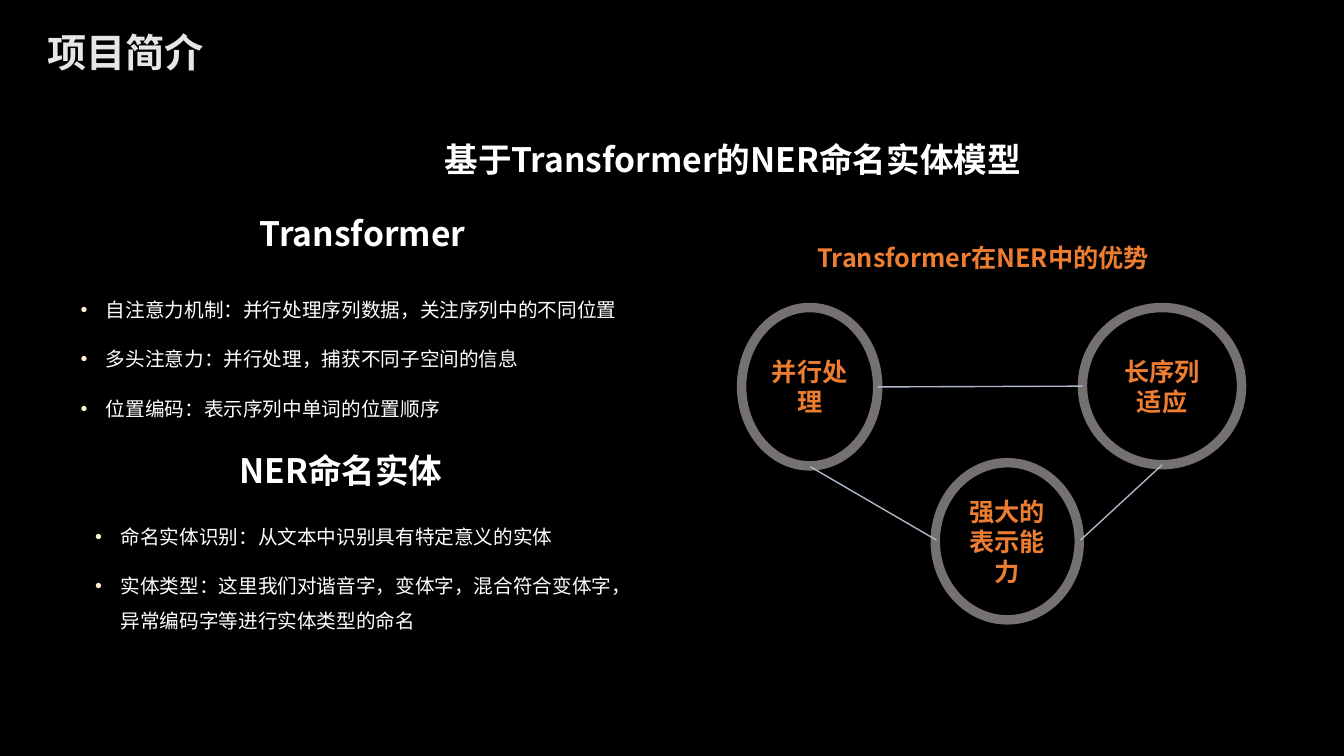
"""Build the project introduction slide on a Transformer-based NER model."""
from dataclasses import dataclass

import pptx
import pptx.dml.color
import pptx.enum.shapes
import pptx.enum.text
import pptx.oxml
import pptx.oxml.ns
import pptx.util
from lxml import etree

Cm, Pt = pptx.util.Cm, pptx.util.Pt
Align = pptx.enum.text.PP_ALIGN
Middle = pptx.enum.text.MSO_ANCHOR.MIDDLE
Shape = pptx.enum.shapes.MSO_SHAPE
qn = pptx.oxml.ns.qn


@dataclass
class Theme:
    face: str = "Noto Sans CJK SC"
    black: str = "000000"
    white: str = "FFFFFF"
    pale: str = "E7E6E6"
    cream: str = "FFF2CC"
    warm: str = "ED7D31"
    ring: str = "767171"
    link: str = "ADB9CA"
    title: int = 28
    head: int = 24
    label: int = 18
    body: int = 14


theme = Theme()


def rgb(code):
    return pptx.dml.color.RGBColor.from_string(code)


def write(para, text, size, color, bold=True, align=Align.LEFT):
    para.text = text
    para.alignment = align
    font = para.font
    font.size = Pt(size)
    font.bold = bold
    font.color.rgb = rgb(color)
    font.name = theme.face
    props = para._p.pPr.find(qn("a:defRPr"))
    etree.SubElement(props, qn("a:ea"), typeface=theme.face)


deck = pptx.Presentation()
deck.slide_width, deck.slide_height = Cm(33.87), Cm(19.05)
slide = deck.slides.add_slide(deck.slide_layouts[6])
shapes = slide.shapes
slide.background.fill.solid()
slide.background.fill.fore_color.rgb = rgb(theme.black)

heads = [
    ("项目简介", 0.94, 0.58, 9.35, 1.45, theme.title, theme.pale, Align.LEFT, 1),
    ("基于Transformer的NER命名实体模型", 10.26, 3.38, 16.41, 1.27,
     theme.head, theme.white, Align.CENTER, 1),
    ("Transformer", 5.05, 5.23, 8.18, 1.27,
     theme.head, theme.white, Align.CENTER, 1),
    ("NER命名实体", 4.5, 11.2, 8.18, 1.6,
     theme.head, theme.white, Align.CENTER, 1),
    ("Transformer在NER中的优势", 20.35, 5.61, 9.93, 1.4,
     theme.label, theme.warm, Align.LEFT, 1.5),
]
for text, left, top, width, height, size, color, align, space in heads:
    box = shapes.add_textbox(Cm(left), Cm(top), Cm(width), Cm(height))
    frame = box.text_frame
    frame.word_wrap = True
    if size == theme.title:
        frame.vertical_anchor = Middle
    para = frame.paragraphs[0]
    para.line_spacing = space
    write(para, text, size, color, align=align)

lists = [
    (1.78, 7.09, ["自注意力机制：并行处理序列数据，关注序列中的不同位置",
                  "多头注意力：并行处理，捕获不同子空间的信息",
                  "位置编码：表示序列中单词的位置顺序"]),
    (2.15, 12.8, ["命名实体识别：从文本中识别具有特定意义的实体",
                  "实体类型：这里我们对谐音字，变体字，混合符合变体字，"
                  "异常编码字等进行实体类型的命名"]),
]
for left, top, items in lists:
    box = shapes.add_textbox(Cm(left), Cm(top), Cm(14.33), Cm(4.55))
    frame = box.text_frame
    frame.word_wrap = True
    for rank, item in enumerate(items):
        para = frame.add_paragraph() if rank else frame.paragraphs[0]
        para.line_spacing = 1.5
        para.space_before = Pt(10 if rank else 0)
        props = para._p.get_or_add_pPr()
        props.set("marL", str(Cm(0.64)))
        props.set("indent", str(-Cm(0.64)))
        tint = etree.SubElement(props, qn("a:buClr"))
        etree.SubElement(tint, qn("a:srgbClr"), val=theme.cream)
        etree.SubElement(props, qn("a:buFont"), typeface="Arial")
        etree.SubElement(props, qn("a:buChar"), char="•")
        write(para, item, theme.body, theme.white, bold=False)

rings = [
    ("并行处理", 18.69, 7.75, 3.43, 3.99),
    ("长序列适应", 27.28, 7.75, 4.01, 3.96),
    ("强大的表示能力", 23.57, 11.66, 3.63, 3.96),
]
for text, left, top, width, height in rings:
    ring = shapes.add_shape(
        Shape.OVAL, Cm(left), Cm(top), Cm(width), Cm(height))
    ring.shadow.inherit = False
    ring.fill.solid()
    ring.fill.fore_color.rgb = rgb(theme.black)
    ring.line.color.rgb = rgb(theme.ring)
    ring.line.width = Pt(6.75)
    frame = ring.text_frame
    frame.word_wrap = True
    frame.vertical_anchor = Middle
    write(frame.paragraphs[0], text, theme.label, theme.warm,
          align=Align.CENTER)

links = [
    (22.12, 9.75, 27.28, 9.73),
    (20.42, 11.76, 23.6, 13.61),
    (29.29, 11.71, 27.23, 13.61),
]
for ends in links:
    link = shapes.add_connector(
        pptx.enum.shapes.MSO_CONNECTOR.STRAIGHT, *map(Cm, ends))
    link.line.color.rgb = rgb(theme.link)
    link.line.width = Pt(1)
    etree.SubElement(link._element.spPr, qn("a:effectLst"))

deck.save("out.pptx")
